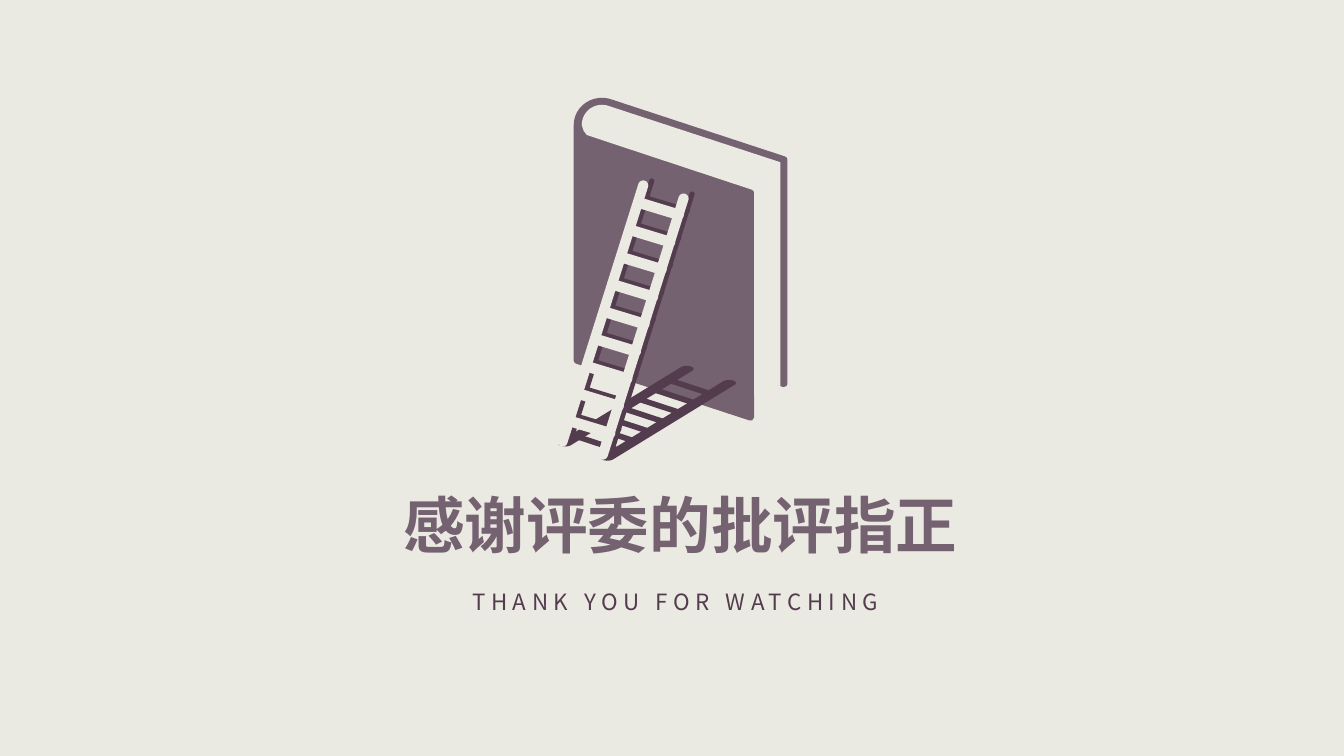
"""Build a closing slide with a ladder leaning on a book."""
from math import atan2, cos, pi, sin
from pptx import Presentation
from pptx.dml.color import RGBColor
from pptx.enum.text import MSO_AUTO_SIZE as Fit, PP_ALIGN as Align
from pptx.oxml.ns import qn
from pptx.util import Inches, Pt

CREAM = RGBColor(0xEB, 0xEA, 0xE2)
MAUVE = RGBColor(0x75, 0x62, 0x71)
PLUM = RGBColor(0x54, 0x3C, 0x4F)
FONT = "Noto Sans CJK SC"

deck = Presentation()
deck.slide_width, deck.slide_height = Inches(13.33), Inches(7.5)
slide = deck.slides.add_slide(deck.slide_layouts[6])
slide.background.fill.solid()
slide.background.fill.fore_color.rgb = CREAM

lines = [
    ("感谢评委的批评指正", 3.87, 4.78, 5.76, 0.84, 44, MAUVE, True, 0),
    ("THANK YOU FOR WATCHING", 4.39, 5.79, 4.62, 0.37, 16, PLUM, False, 4),
]
for text, x, y, w, h, size, color, bold, gap in lines:
    frame = slide.shapes.add_textbox(*map(Inches, (x, y, w, h))).text_frame
    frame.word_wrap = False
    frame.auto_size = Fit.SHAPE_TO_FIT_TEXT
    frame.text = text
    para = frame.paragraphs[0]
    para.alignment = Align.CENTER
    run = para.runs[0]
    run.font.size, run.font.bold, run.font.name = Pt(size), bold, FONT
    run.font.color.rgb = color
    props = run.font._element
    props.set("spc", str(gap * 100))
    props.insert_element_before(
        props.makeelement(qn("a:ea"), {"typeface": FONT}), "a:cs", "a:sym")

art = slide.shapes.add_group_shape()


def draw(points, color):
    spots = [(Inches(x), Inches(y)) for x, y in points]
    pen = art.shapes.build_freeform(*spots[0], scale=1.0)
    pen.add_line_segments(spots[1:], close=True)
    shape = pen.convert_to_shape()
    shape.shadow.inherit = False
    shape.fill.solid()
    shape.fill.fore_color.rgb = color
    shape.line.fill.background()


def arc(x, y, rx, ry, start, end):
    turns = [start + (end - start) * i / 12 for i in range(13)]
    return [(x + rx * cos(t), y + ry * sin(t)) for t in turns]


draw([(7.4, 4.09), (5.77, 3.55), (5.77, 1.39), (5.89, 1.44), (7.4, 1.94)], PLUM)
draw(arc(5.97, 1.24, 0.28, 0.27, pi, 1.62 * pi)
     + [(7.78, 1.55), (7.8, 1.56), (7.81, 1.58), (7.81, 3.81), (7.8, 3.83),
        (7.77, 3.84), (7.48, 3.75), (7.48, 4.14), (7.46, 4.17), (7.43, 4.17),
        (5.72, 3.61), (5.7, 3.6), (5.69, 3.58)], MAUVE)

RAIL, RUNG, TREAD = (0.4, 0.13), (-0.085, 0.271), (-0.153, 0.093)
bars = [
    (6.465, 1.795, 5.67, 4.335, 0.025, 0.025, RAIL, 2, PLUM),
    (6.42, 1.97, 6.815, 2.09, 0.028, 0.028, RUNG, 9, PLUM),
    (6.81, 3.66, 5.605, 4.4, 0.07, 0.03, (0.42, 0.14), 2, PLUM),
    (6.645, 3.775, 7.055, 3.91, 0.065, 0.02, TREAD, 7, PLUM),
    (6.38, 1.84, 5.58, 4.38, 0.05, 0.05, RAIL, 2, CREAM),
    (6.335, 2.01, 6.73, 2.13, 0.053, 0.053, RUNG, 9, CREAM),
]
for x1, y1, x2, y2, rx, ry, step, count, color in bars:
    turn = atan2((y2 - y1) / ry, (x2 - x1) / rx)
    for i in range(count):
        dx, dy = step[0] * i, step[1] * i
        draw(arc(x2 + dx, y2 + dy, rx, ry, turn - pi / 2, turn + pi / 2)
             + arc(x1 + dx, y1 + dy, rx, ry, turn + pi / 2, turn + 1.5 * pi), color)

draw(arc(5.97, 1.24, 0.2, 0.2, pi, 1.62 * pi)
     + [(7.74, 1.61), (7.74, 3.83), (7.66, 3.82), (7.58, 3.84), (7.52, 3.87),
        (7.48, 3.93), (7.48, 1.91), (7.47, 1.89), (7.45, 1.88), (5.91, 1.37),
        (5.85, 1.35), (5.82, 1.34), (5.79, 1.3)], CREAM)

deck.save("out.pptx")
